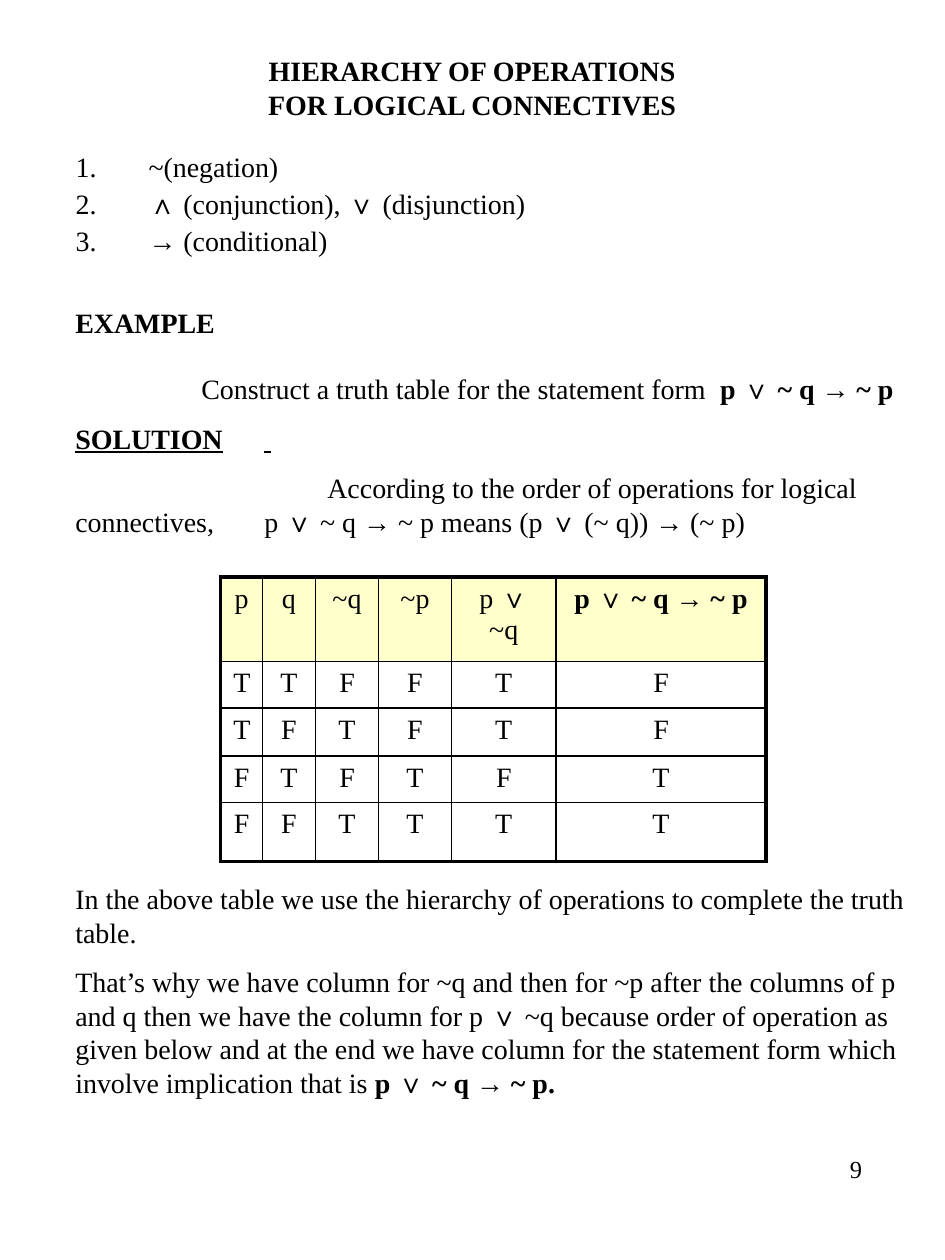
from lxml import etree
from pptx import Presentation
from pptx.dml.color import RGBColor
from pptx.enum.text import MSO_ANCHOR, MSO_AUTO_SIZE, PP_ALIGN
from pptx.oxml.ns import qn
from pptx.util import Cm, Pt

LEFT, CENTER, RIGHT = PP_ALIGN.LEFT, PP_ALIGN.CENTER, PP_ALIGN.RIGHT
TOP, MIDDLE = MSO_ANCHOR.TOP, MSO_ANCHOR.MIDDLE
NO_FIT = MSO_AUTO_SIZE.NONE
COLORS = {"ink": "000000", "header": "FFFFCC"}
FONT = "Times New Roman"
MARGIN = Cm(1.52)
FORMULA = "p ∨ ~ q → ~ p"


def add_text(p, text, size=16, bold=False, underline=False):
    """Add text to a paragraph, with a line break at each newline."""
    for i, line in enumerate(text.split("\n")):
        if i:
            p.add_line_break()
        r = p.add_run()
        r.text = line
        r.font.name, r.font.size = FONT, Pt(size)
        r.font.bold, r.font.underline = bold, underline
        r.font.color.rgb = RGBColor.from_string(COLORS["ink"])


def set_indent(p, left, first):
    pPr = p._p.get_or_add_pPr()
    pPr.set("marL", str(left))
    pPr.set("indent", str(first))
    return pPr


class SlideBuilder:
    def __init__(self, prs):
        self.s = prs.slides.add_slide(prs.slide_layouts[1])

    def place(self, sp, left, top, width, height, anchor=TOP):
        sp.left, sp.top, sp.width, sp.height = map(Cm, (left, top, width, height))
        tf = sp.text_frame
        tf.word_wrap, tf.auto_size, tf.vertical_anchor = True, NO_FIT, anchor
        return tf

    def title(self, text, box):
        tf = self.place(self.s.shapes.title, *box, anchor=MIDDLE)
        tf.paragraphs[0].alignment = CENTER
        add_text(tf.paragraphs[0], text, bold=True)

    def numbered_list(self, items, box):
        tf = self.place(self.s.placeholders[1], *box)
        for i, item in enumerate(items):
            p = tf.add_paragraph() if i else tf.paragraphs[0]
            p.level, p.line_spacing, p.space_before = 1, 0.9, Pt(3.7)
            pPr = set_indent(p, Cm(2.74), Cm(-1.47))
            etree.SubElement(pPr, qn("a:buFont"), typeface="+mj-lt")
            etree.SubElement(pPr, qn("a:buAutoNum"), type="arabicPeriod")
            add_text(p, item)

    def text(self, paragraphs, box, anchor=TOP, align=LEFT, inset=MARGIN):
        """Each paragraph is (first-line indent, tab stop, [(text, format), ...])."""
        sp = self.s.shapes.add_textbox(0, 0, 0, 0)
        tf = self.place(sp, *box, anchor=anchor)
        tf.margin_left = inset
        for i, (first, tab, runs) in enumerate(paragraphs):
            p = tf.add_paragraph() if i else tf.paragraphs[0]
            p.alignment = align
            p.space_before = Pt(9 if i else 0)
            pPr = set_indent(p, 0, Cm(first))
            if tab:
                tabs = etree.SubElement(pPr, qn("a:tabLst"))
                etree.SubElement(tabs, qn("a:tab"), pos=str(Cm(tab)), algn="l")
            for text, style in runs:
                add_text(p, text, **style)

    def borders(self, cell, widths):
        tcPr = cell._tc.get_or_add_tcPr()
        for side, width in widths.items():
            ln = etree.SubElement(tcPr, qn("a:ln" + side), w=str(Pt(width)))
            fill = etree.SubElement(ln, qn("a:solidFill"))
            etree.SubElement(fill, qn("a:srgbClr"), val=COLORS["ink"])

    def table(self, rows, left, top, col_widths, row_heights):
        n_rows, n_cols = len(rows), len(col_widths)
        frame = self.s.shapes.add_table(
            n_rows, n_cols, Cm(left), Cm(top),
            Cm(sum(col_widths)), Cm(sum(row_heights)))
        table = frame.table
        table.first_row = table.horz_banding = False
        for column, width in zip(table.columns, col_widths):
            column.width = Cm(width)
        for i, (row, values) in enumerate(zip(table.rows, rows)):
            row.height = Cm(row_heights[i])
            for j, (cell, value) in enumerate(zip(row.cells, values)):
                edges = {"L": j == 0, "R": j == n_cols - 1,
                         "T": i == 0, "B": i == n_rows - 1}
                self.borders(cell, {k: 2.25 if v else 1 for k, v in edges.items()})
                if i == 0:
                    cell.fill.solid()
                    cell.fill.fore_color.rgb = RGBColor.from_string(COLORS["header"])
                else:
                    cell.fill.background()
                p = cell.text_frame.paragraphs[0]
                p.alignment = CENTER
                add_text(p, value, bold=value == FORMULA)


def main():
    prs = Presentation()
    prs.slide_width, prs.slide_height = Cm(19.05), Cm(25.4)
    page = SlideBuilder(prs)
    bold = {"bold": True}

    # Title and order of operations
    page.title("HIERARCHY OF OPERATIONS\nFOR LOGICAL CONNECTIVES",
               (1.42, 0.56, 16.2, 2.39))
    page.numbered_list(["~(negation)", "∧ (conjunction), ∨ (disjunction)",
                        "→ (conditional)"], (0, 2.97, 18.9, 2.82))

    # Example and solution
    page.text([(0, 0, [("EXAMPLE", bold)])], (0, 5.79, 19.05, 1.42), anchor=MIDDLE)
    page.text([
        (2.54, 0, [("Construct a truth table for the statement form  ", {}),
                   (FORMULA, bold)]),
        (0, 0, [("SOLUTION\t ", {"bold": True, "underline": True})]),
        (5.08, 3.35, [("According to the order of operations for logical connectives,"
                       f"\t{FORMULA} means (p ∨ (~ q)) → (~ p)", {})]),
    ], (0, 7.37, 19.05, 3.9))

    # Truth table
    page.table([["p", "q", "~q", "~p", "p ∨ ~q", FORMULA],
                "TTFFTF", "TFTFTF", "FTFTFT", "FFTTTT"], 4.45, 11.63,
               [0.84, 1.07, 1.27, 1.47, 2.11, 4.23], [1.7, 0.94, 0.97, 0.94, 1.19])

    # Explanation
    page.text([
        (0, 0, [("In the above table we use the hierarchy of operations "
                 "to complete the truth table.", {})]),
        (0, 0, [("That’s why we have column for ~q and then for ~p after the columns "
                 "of p and q then we have the column for p ∨ ~q because order of "
                 "operation as given below and at the end we have column for the "
                 "statement form which involve implication that is ", {}),
                (FORMULA + ".", bold)]),
    ], (0, 17.65, 19.05, 5.26))

    # Page number
    page.text([(0, 0, [("9", {"size": 14})])], (13.67, 23.14, 3.96, 1.7),
              align=RIGHT, inset=Cm(0.25))
    prs.save("out.pptx")


if __name__ == "__main__":
    main()
